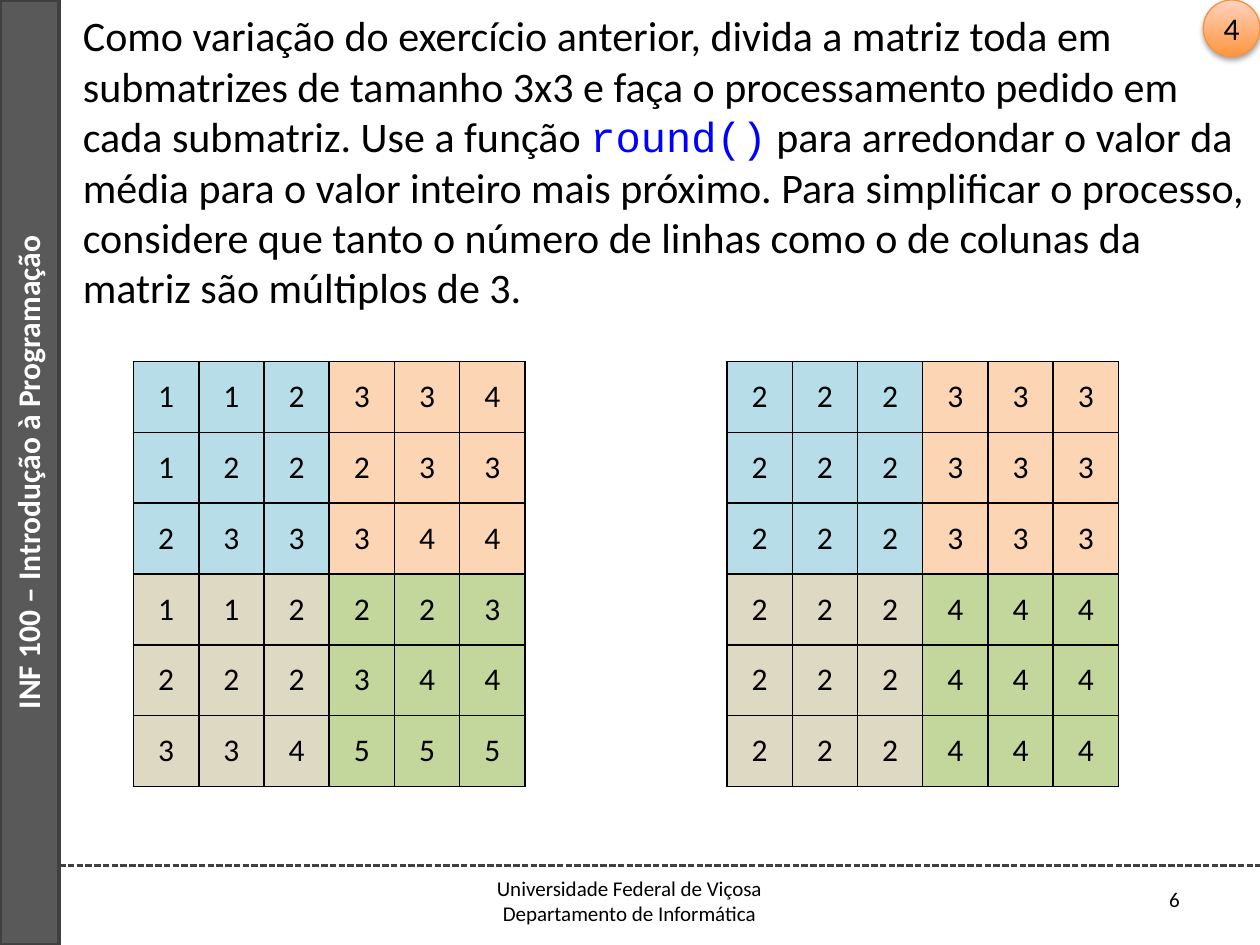
from lxml import etree
from pptx import Presentation
from pptx import util as u
from pptx.dml.color import RGBColor
from pptx.enum import dml, shapes, text
from pptx.oxml import ns

COLORS = {
    "black": "000000", "white": "FFFFFF", "code": "0000FF",
    "bar": "595959", "rule": "404040",
    "badge_line": "F69240", "badge_low": "FF953E", "badge_high": "FFD2BD",
    "blue": "B7DEE8", "orange": "FCD5B5", "sand": "DDD9C3", "green": "C3D69B",
}
BLOCKS = [["blue", "orange"], ["sand", "green"]]
BLOCK_SIZE = 3
CELL_WIDTH, CELL_HEIGHT = 0.518, 0.562
INPUT_MATRIX = ["112334", "122233", "233344", "112223", "222344", "334555"]
RESULT_MATRIX = ["222333"] * 3 + ["222444"] * 3
CENTER = text.PP_ALIGN.CENTER


def color(name):
    return RGBColor.from_string(COLORS[name])


def box(left, top, width, height):
    return [u.Inches(value) for value in (left, top, width, height)]


def add_run(paragraph, content, size, color_name="black", font="Calibri", bold=False):
    run = paragraph.add_run()
    run.text = content
    run.font.size = u.Pt(size)
    run.font.name = font
    run.font.bold = bold
    run.font.color.rgb = color(color_name)


def add_text(slide, place, paragraphs, alignment=text.PP_ALIGN.LEFT, wrap=True):
    shape = slide.shapes.add_textbox(*box(*place))
    frame = shape.text_frame
    frame.word_wrap = wrap
    for index, runs in enumerate(paragraphs):
        paragraph = frame.add_paragraph() if index else frame.paragraphs[0]
        paragraph.alignment = alignment
        for run in runs:
            add_run(paragraph, *run)
    return shape


def add_sidebar(slide):
    bar = slide.shapes.add_shape(shapes.MSO_SHAPE.RECTANGLE, *box(0, 0, 0.47, 7.5))
    bar.shadow.inherit = False
    bar.fill.solid()
    bar.fill.fore_color.rgb = color("bar")
    bar.line.color.rgb = color("rule")
    bar.line.width = u.Pt(2)
    title = ("INF 100 – Introdução à Programação", 18, "white", "Calibri", True)
    label = add_text(slide, (-3.53, 3.55, 7.5, 0.4), [[title]], CENTER)
    label.rotation = 270


def add_footer(slide):
    add_text(slide, (9.1, 6.99, 0.4, 0.3), [[("6 ", 12)]], text.PP_ALIGN.RIGHT, False)
    rule = slide.shapes.add_connector(
        shapes.MSO_CONNECTOR.STRAIGHT,
        u.Inches(0.47), u.Inches(6.87), u.Inches(10), u.Inches(6.87))
    rule.line.color.rgb = color("rule")
    rule.line.width = u.Pt(1.25)
    rule.line.dash_style = dml.MSO_LINE.SQUARE_DOT
    etree.SubElement(rule._element.spPr, ns.qn("a:effectLst"))
    lines = ["Universidade Federal de Viçosa", "Departamento de Informática"]
    add_text(slide, (3.82, 6.9, 2.35, 0.5), [[(line, 12)] for line in lines], CENTER, False)


def add_badge(slide):
    badge = slide.shapes.add_shape(shapes.MSO_SHAPE.OVAL, *box(9.55, 0, 0.45, 0.45))
    badge.fill.gradient()
    badge.fill.gradient_angle = 90
    for stop, name in zip(badge.fill.gradient_stops, ("badge_low", "badge_high")):
        stop.color.rgb = color(name)
    badge.line.color.rgb = color("badge_line")
    badge.line.width = u.Pt(0.75)
    badge.shadow.inherit = False
    effects = badge._element.spPr.find(ns.qn("a:effectLst"))
    shadow = etree.SubElement(
        effects, ns.qn("a:outerShdw"), blurRad=str(u.Pt(3.1)), dist=str(u.Pt(1.8)),
        dir="5400000", rotWithShape="0")
    tint = etree.SubElement(shadow, ns.qn("a:srgbClr"), val=COLORS["black"])
    etree.SubElement(tint, ns.qn("a:alpha"), val="35000")
    frame = badge.text_frame
    frame.margin_left = frame.margin_right = 0
    frame.margin_top = frame.margin_bottom = 0
    frame.vertical_anchor = text.MSO_ANCHOR.MIDDLE
    frame.paragraphs[0].alignment = CENTER
    add_run(frame.paragraphs[0], "4", 18)


def add_borders(cell):
    properties = cell._tc.get_or_add_tcPr()
    for side in ("a:lnL", "a:lnR", "a:lnT", "a:lnB"):
        line = etree.SubElement(properties, ns.qn(side), w=str(u.Pt(1)))
        fill = etree.SubElement(line, ns.qn("a:solidFill"))
        etree.SubElement(fill, ns.qn("a:srgbClr"), val=COLORS["black"])


def add_matrix(slide, left, top, matrix):
    rows, columns = len(matrix), len(matrix[0])
    place = box(left, top, columns * CELL_WIDTH, rows * CELL_HEIGHT)
    table = slide.shapes.add_table(rows, columns, *place).table
    table.first_row = table.horz_banding = False
    for column in table.columns:
        column.width = u.Inches(CELL_WIDTH)
    for row_index, values in enumerate(matrix):
        table.rows[row_index].height = u.Inches(CELL_HEIGHT)
        for column_index, value in enumerate(values):
            cell = table.cell(row_index, column_index)
            add_borders(cell)
            block = BLOCKS[row_index // BLOCK_SIZE][column_index // BLOCK_SIZE]
            cell.fill.solid()
            cell.fill.fore_color.rgb = color(block)
            cell.vertical_anchor = text.MSO_ANCHOR.MIDDLE
            paragraph = cell.text_frame.paragraphs[0]
            paragraph.alignment = CENTER
            add_run(paragraph, value, 18)


def main():
    presentation = Presentation()
    presentation.slide_width = u.Inches(10)
    presentation.slide_height = u.Inches(7.5)
    slide = presentation.slides.add_slide(presentation.slide_layouts[6])
    add_sidebar(slide)
    add_footer(slide)
    exercise = [
        ("Como variação do exercício anterior, divida a matriz toda em submatrizes "
         "de tamanho 3x3 e faça o processamento pedido em cada submatriz. "
         "Use a função ", 24),
        ("round()", 24, "code", "Courier New"),
        (" para arredondar o valor da média para o valor inteiro mais próximo. "
         "Para simplificar o processo, considere que tanto o número de linhas "
         "como o de colunas da matriz são múltiplos de 3.", 24),
    ]
    add_text(slide, (0.56, 0.03, 9.44, 2.52), [exercise])
    add_badge(slide)
    add_matrix(slide, 1.06, 2.87, INPUT_MATRIX)
    add_matrix(slide, 5.77, 2.87, RESULT_MATRIX)
    presentation.save("out.pptx")


if __name__ == "__main__":
    main()
